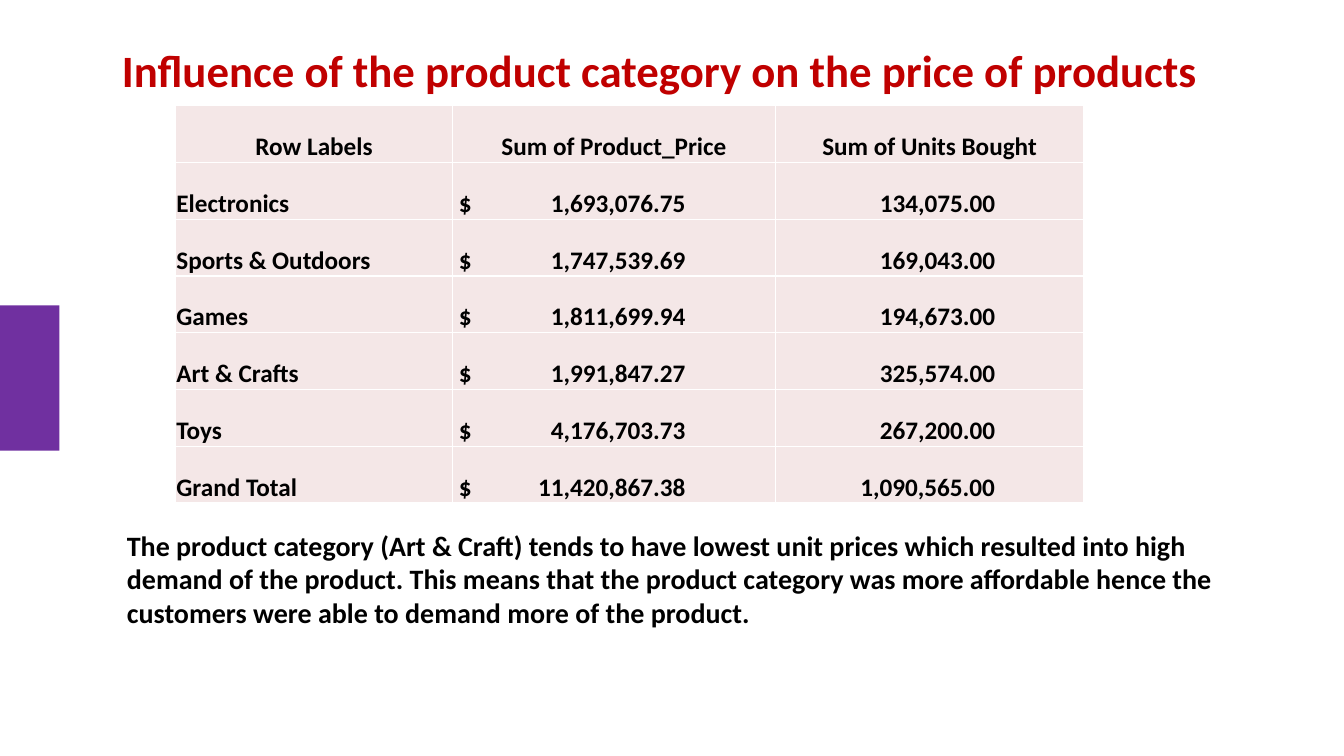
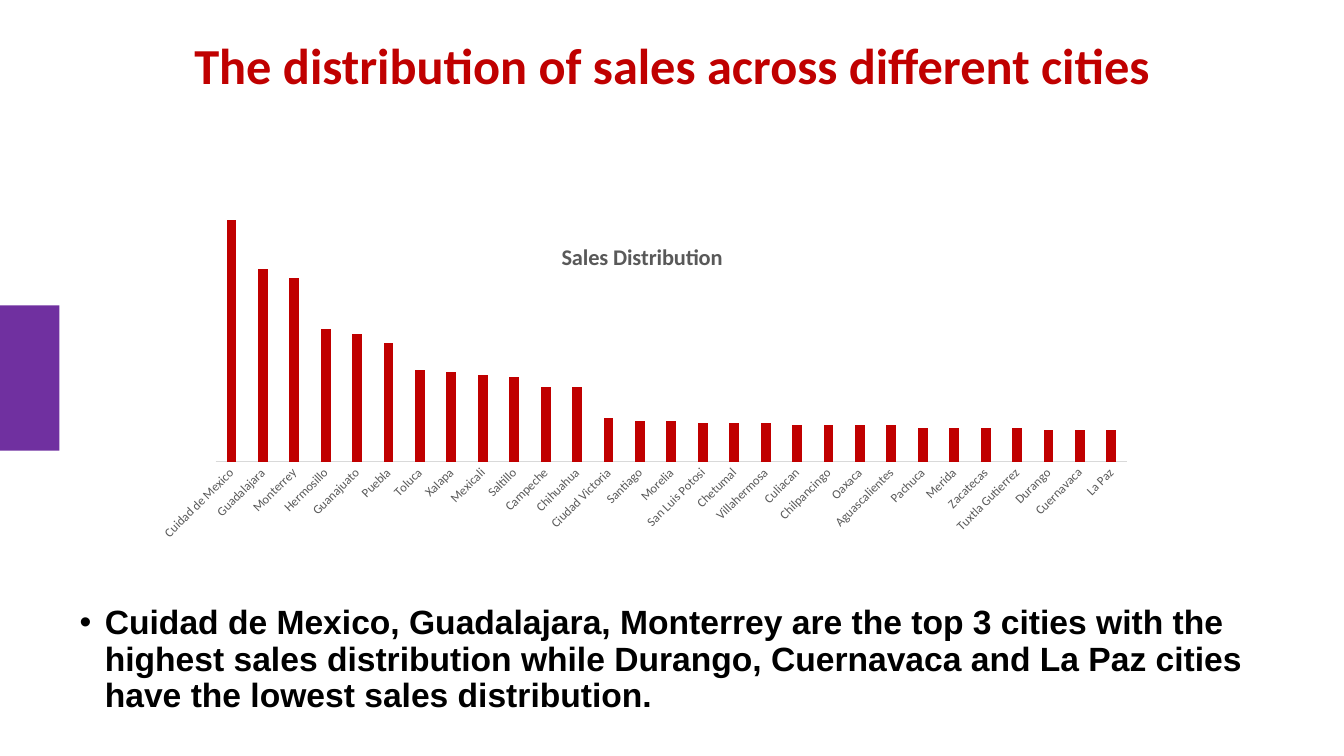
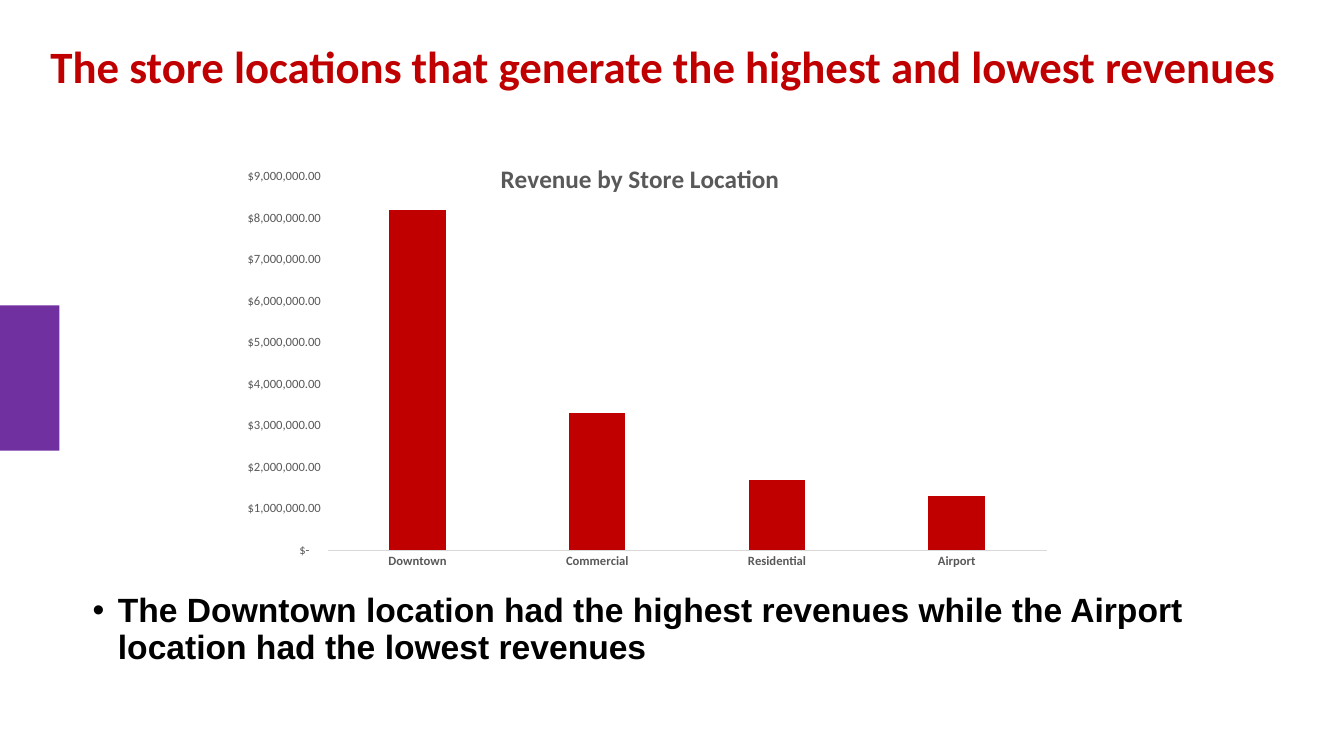
from lxml.etree import SubElement
from pptx import Presentation
from pptx.chart.data import CategoryChartData
from pptx.dml.color import RGBColor
from pptx.enum.chart import XL_CHART_TYPE, XL_TICK_MARK
from pptx.enum.shapes import MSO_SHAPE
from pptx.enum.text import MSO_ANCHOR, PP_ALIGN
from pptx.oxml import parse_xml
from pptx.oxml.ns import nsdecls, qn
from pptx.util import Inches, Pt

RED, PURPLE, BLACK, WHITE = "C00000", "7030A0", "000000", "FFFFFF"
GREY, LIGHT_GREY, PINK = "595959", "D9D9D9", "F4E7E7"
DOLLARS = '$#,##0.00_ ;-$#,##0.00_ ;"$-"_0_0_ '


def rgb(value):
    return RGBColor.from_string(value)


def set_font(font, size, color=BLACK, bold=True, name="Calibri"):
    font.size, font.bold, font.name = Pt(size), bold, name
    font.color.rgb = rgb(color)


def set_layout(parent, index, **parts):
    """Give a chart part a manual layout, in fractions of the chart."""
    for old in parent.findall(qn("c:layout")):
        parent.remove(old)
    layout = parse_xml(f"<c:layout {nsdecls('c')}/>")
    manual = SubElement(layout, qn("c:manualLayout"))
    if "w" in parts:
        SubElement(manual, qn("c:layoutTarget"), val="inner")
    for mode in ("xMode", "yMode"):
        SubElement(manual, qn(f"c:{mode}"), val="edge")
    for key, value in parts.items():
        SubElement(manual, qn(f"c:{key}"), val=f"{value:.4f}")
    parent.insert(index, layout)


class Deck:
    def __init__(self):
        self.prs = Presentation()
        self.prs.slide_width, self.prs.slide_height = Inches(13.33), Inches(7.5)
        self.s = None

    def new_slide(self):
        """Start a slide with the purple band at its left edge."""
        self.s = self.prs.slides.add_slide(self.prs.slide_layouts[6])
        band = self.s.shapes.add_shape(MSO_SHAPE.RECTANGLE, 0, Inches(3.03),
                                       Inches(0.59), Inches(1.44))
        band.shadow.inherit = False
        band.fill.solid()
        band.fill.fore_color.rgb = rgb(PURPLE)
        band.line.fill.background()

    def text(self, box, text, size, color=BLACK, name="Calibri", inset=True):
        tf = self.s.shapes.add_textbox(*map(Inches, box)).text_frame
        tf.word_wrap = True
        if not inset:
            tf.margin_left = tf.margin_right = tf.margin_top = tf.margin_bottom = 0
        tf.text = text
        p = tf.paragraphs[0]
        set_font(p.runs[0].font, size, color, name=name)
        return tf, p

    def title(self, box, text, size, align=PP_ALIGN.CENTER):
        tf, p = self.text(box, text, size, RED, inset=False)
        tf.vertical_anchor = MSO_ANCHOR.MIDDLE
        p.alignment, p.line_spacing = align, 0.9

    def bullet(self, box, text):
        tf, p = self.text(box, text, 24, name="Arial", inset=False)
        p.line_spacing, p.space_before = 0.9, Pt(10)
        pPr = p._p.get_or_add_pPr()
        pPr.set("marL", str(Inches(0.25)))
        pPr.set("indent", str(-Inches(0.25)))
        SubElement(pPr, qn("a:buFont"), typeface="Arial")
        SubElement(pPr, qn("a:buChar"), char="•")

    def cell(self, cell, text):
        tcPr = cell._tc.get_or_add_tcPr()
        for side in ("lnL", "lnR", "lnT", "lnB"):
            ln = SubElement(tcPr, qn(f"a:{side}"), w=str(Pt(1)))
            SubElement(SubElement(ln, qn("a:solidFill")), qn("a:srgbClr"), val=WHITE)
        cell.fill.solid()
        cell.fill.fore_color.rgb = rgb(PINK)
        cell.vertical_anchor = MSO_ANCHOR.BOTTOM
        cell.margin_left = cell.margin_right = cell.margin_top = Inches(0.01)
        cell.margin_bottom = 0
        cell.text = text
        p = cell.text_frame.paragraphs[0]
        set_font(p.runs[0].font, 18)
        return p

    def price_table(self, box, widths, header, rows):
        """Draw labels, prices with the dollar sign set left, and units."""
        table = self.s.shapes.add_table(len(rows) + 1, len(header),
                                        *map(Inches, box)).table
        table.first_row = table.horz_banding = False
        for column, width in zip(table.columns, widths):
            column.width = Inches(width)
        for c, text in enumerate(header):
            self.cell(table.cell(0, c), text).alignment = PP_ALIGN.CENTER
        for r, (label, price, units) in enumerate(rows, 1):
            self.cell(table.cell(r, 0), label)
            p = self.cell(table.cell(r, 1), f"$\t{price}")
            table.cell(r, 1).margin_left = Inches(0.06)
            tabs = SubElement(p._p.get_or_add_pPr(), qn("a:tabLst"))
            SubElement(tabs, qn("a:tab"), pos=str(Inches(2.25)), algn="r")
            self.cell(table.cell(r, 2), units).alignment = PP_ALIGN.RIGHT
            table.cell(r, 2).margin_right = Inches(0.88)

    def column_chart(self, box, plot_box, title, title_at, title_size, data, top):
        """Draw a column chart; plot_box and title_at are in slide inches."""
        left, upper, width, height = box
        cd = CategoryChartData()
        cd.categories = [name for name, _ in data]
        cd.add_series("Series 1", [value for _, value in data])
        chart = self.s.shapes.add_chart(XL_CHART_TYPE.COLUMN_CLUSTERED,
                                        *map(Inches, box), cd).chart
        set_font(chart.font, 10, bold=False)
        chart.has_legend = False

        chart.chart_title.text_frame.text = title
        run = chart.chart_title.text_frame.paragraphs[0].runs[0]
        set_font(run.font, title_size, GREY)
        element = chart.chart_title._element
        set_layout(element, 1, x=(title_at[0] - left) / width,
                   y=(title_at[1] - upper) / height)
        element.find(qn("c:overlay")).set("val", "1")
        x, y, w, h = plot_box
        set_layout(chart._chartSpace.chart.plotArea, 0, x=(x - left) / width,
                   y=(y - upper) / height, w=w / width, h=h / height)

        plot = chart.plots[0]
        plot.vary_by_categories = False
        plot.gap_width, plot.overlap = 219, -27
        fill = plot.series[0].format.fill
        fill.solid()
        fill.fore_color.rgb = rgb(RED)

        for axis in (chart.category_axis, chart.value_axis):
            axis.major_tick_mark = axis.minor_tick_mark = XL_TICK_MARK.NONE
            axis.has_major_gridlines = False
            set_font(axis.tick_labels.font, 9, GREY, bold=False)
        line = chart.category_axis.format.line
        line.width = Pt(0.75)
        line.color.rgb = rgb(LIGHT_GREY)
        values = chart.value_axis
        values.minimum_scale, values.maximum_scale = 0, top
        values.format.line.fill.background()
        values.tick_labels.number_format = DOLLARS
        values.tick_labels.number_format_is_linked = False
        return chart


CATEGORIES = [
    ("Electronics", "1,693,076.75", "134,075.00"),
    ("Sports & Outdoors", "1,747,539.69", "169,043.00"),
    ("Games", "1,811,699.94", "194,673.00"),
    ("Art & Crafts", "1,991,847.27", "325,574.00"),
    ("Toys", "4,176,703.73", "267,200.00"),
    ("Grand Total", "11,420,867.38", "1,090,565.00"),
]
CITIES = [
    ("Cuidad de Mexico", 100), ("Guadalajara", 80), ("Monterrey", 76),
    ("Hermosillo", 55), ("Guanajuato", 53), ("Puebla", 49), ("Toluca", 38),
    ("Xalapa", 37), ("Mexicali", 36), ("Saltillo", 35), ("Campeche", 31),
    ("Chihuahua", 31), ("Ciudad Victoria", 18), ("Santiago", 17),
    ("Morelia", 17), ("San Luis Potosi", 16), ("Chetumal", 16),
    ("Villahermosa", 16), ("Culiacan", 15), ("Chilpancingo", 15),
    ("Oaxaca", 15), ("Aguascalientes", 15), ("Pachuca", 14), ("Merida", 14),
    ("Zacatecas", 14), ("Tuxtla Gutierrez", 14), ("Durango", 13),
    ("Cuernavaca", 13), ("La Paz", 13),
]
LOCATIONS = [("Downtown", 8200000), ("Commercial", 3300000),
             ("Residential", 1700000), ("Airport", 1300000)]


def main():
    deck = Deck()

    deck.new_slide()
    deck.title((0.72, 0.49, 11.65, 0.46),
               "Influence of the product category on the price of products", 32)
    deck.price_table((1.74, 1.05, 9.01, 3.94), (2.75, 3.2, 3.06),
                     ("Row Labels", "Sum of Product_Price", "Sum of Units Bought"),
                     CATEGORIES)
    deck.text((1.16, 5.19, 11.01, 1.11),
              "The product category (Art & Craft) tends to have lowest unit prices "
              "which resulted into high demand of the product. This means that the "
              "product category was more affordable hence the customers were able "
              "to demand more of the product.", 20)

    deck.new_slide()
    deck.title((0.92, 0.4, 11.5, 0.55),
               "The distribution of sales across different cities", 36)
    deck.bullet((0.79, 6.01, 11.62, 1.35),
                "Cuidad de Mexico, Guadalajara, Monterrey are the top 3 cities with "
                "the highest sales distribution while Durango, Cuernavaca and La Paz "
                "cities have the lowest sales distribution.")
    chart = deck.column_chart((1.4, 1.35, 9.97, 4.1), (2.14, 1.71, 9.04, 2.87),
                              "Sales Distribution", (5.53, 2.36), 16, CITIES, 120)
    chart.value_axis.visible = False
    body = chart.category_axis._element.find(qn("c:txPr")).find(qn("a:bodyPr"))
    body.set("rot", str(-45 * 60000))

    deck.new_slide()
    deck.title((0.5, 0.4, 12.67, 0.57),
               "The store locations that generate the highest and lowest revenues",
               32, PP_ALIGN.LEFT)
    deck.bullet((0.92, 5.89, 11.5, 0.78),
                "The Downtown location had the highest revenues while the Airport "
                "location had the lowest revenues")
    chart = deck.column_chart((2.27, 1.03, 8.28, 4.7), (3.25, 1.75, 7.13, 3.71),
                              "Revenue by Store Location", (4.92, 1.56), 18,
                              LOCATIONS, 9000000)
    chart.value_axis.major_unit = 1000000
    chart.category_axis.tick_labels.font.bold = True

    deck.prs.save("out.pptx")


if __name__ == "__main__":
    main()
